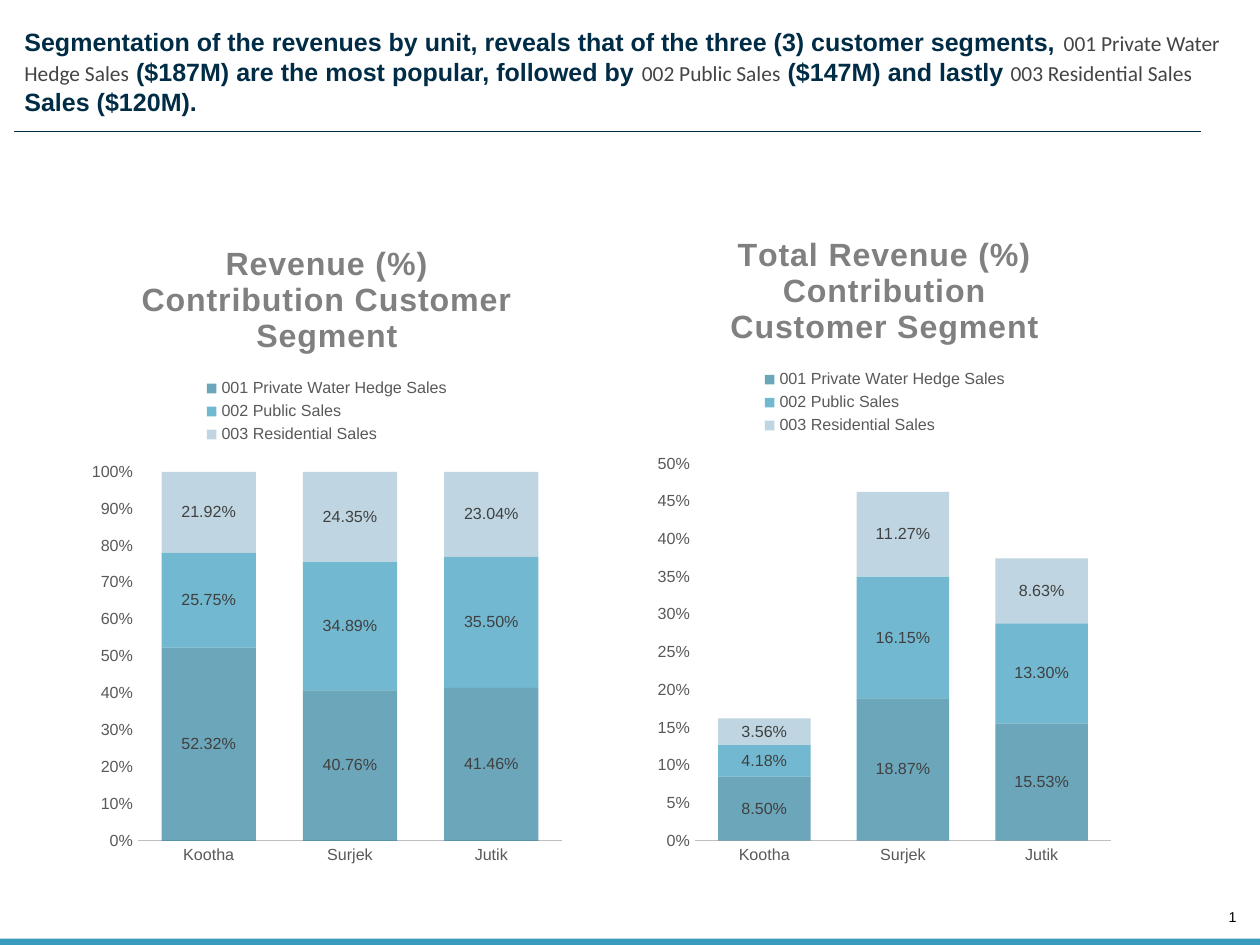
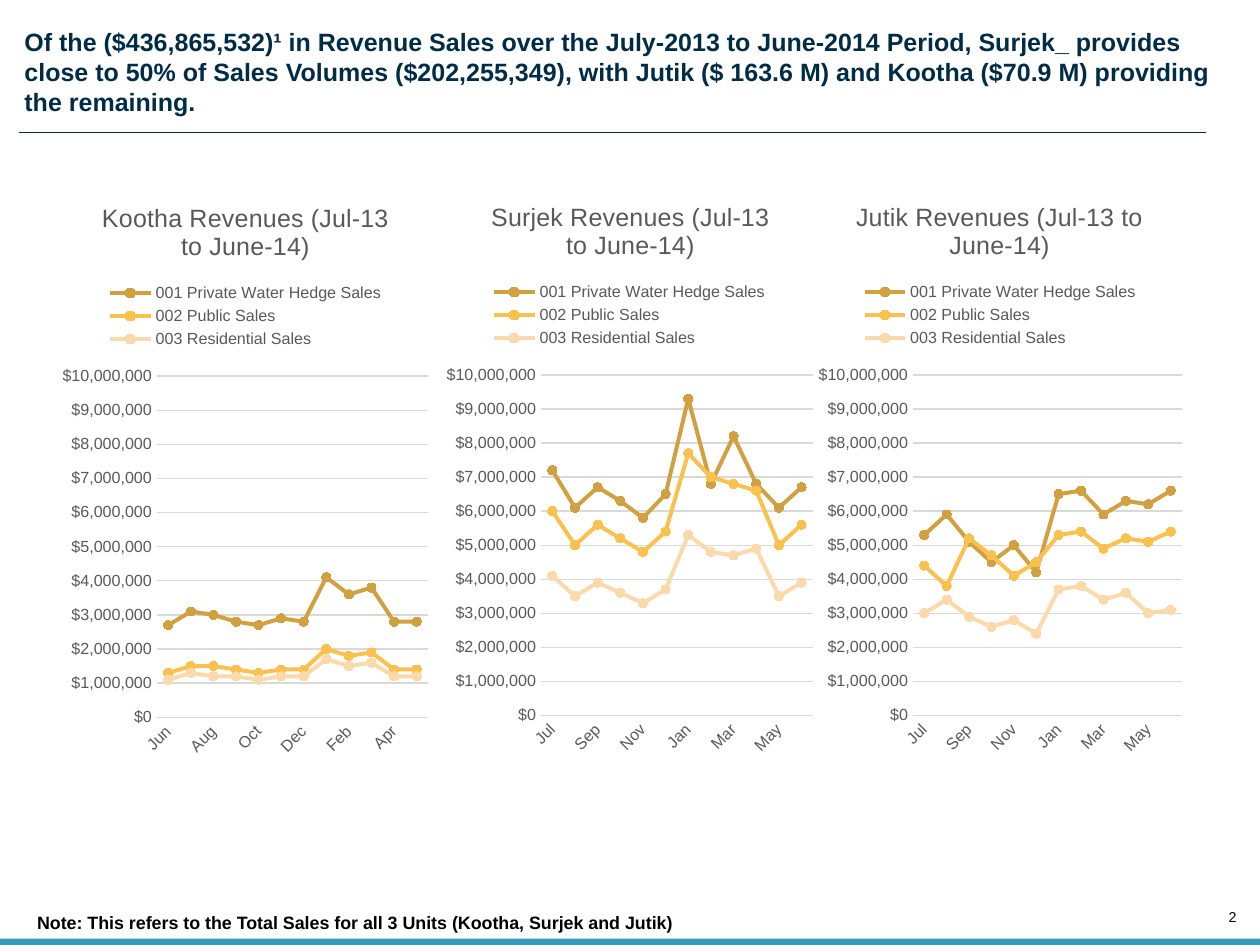
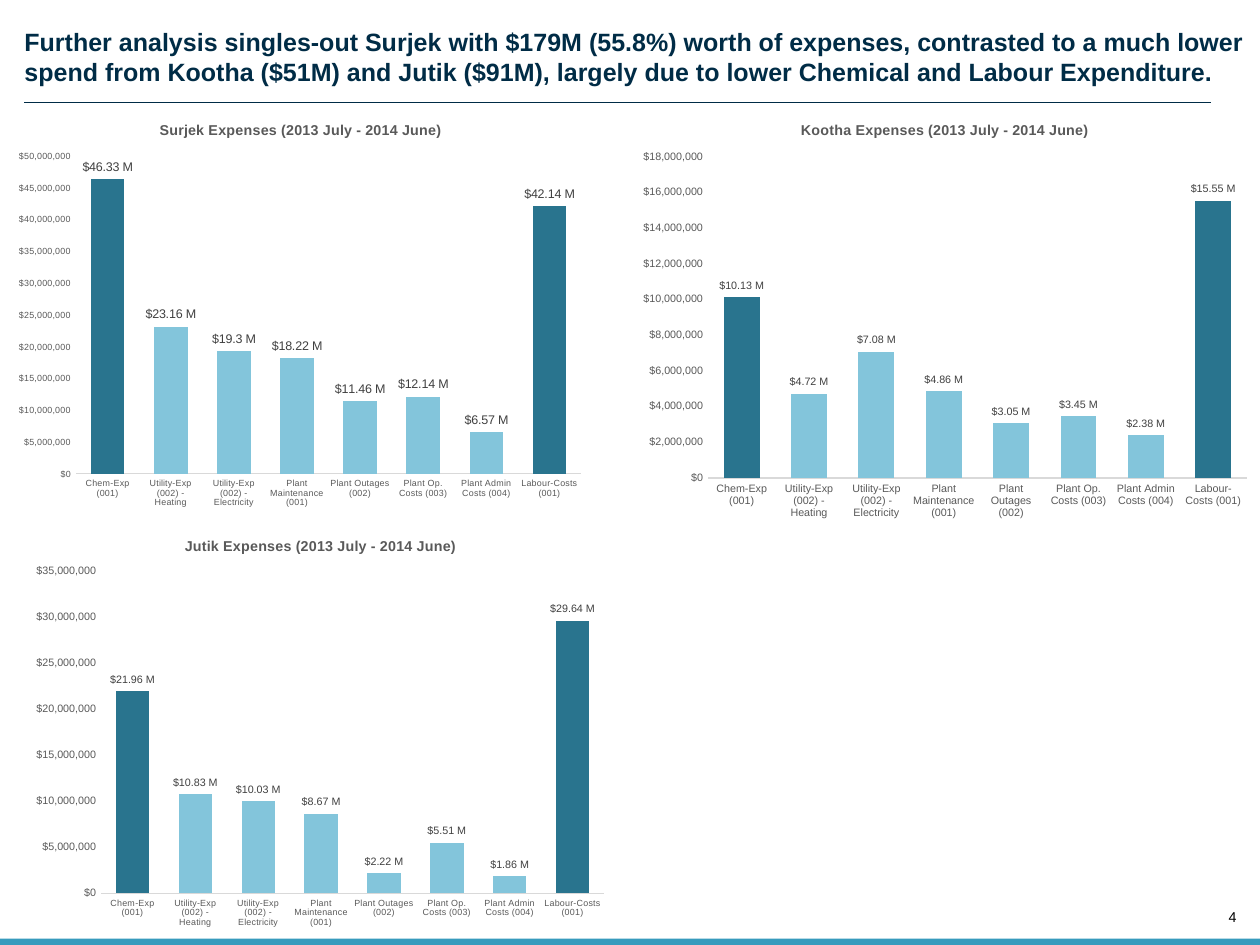
import lxml.etree
import pptx
import pptx.chart.data
import pptx.dml.color
import pptx.enum.chart
import pptx.enum.shapes
import pptx.enum.text
import pptx.oxml.ns
import pptx.util

Pt = pptx.util.Pt
qn = pptx.oxml.ns.qn
Kind = pptx.enum.chart.XL_CHART_TYPE
Spot = pptx.enum.chart.XL_LABEL_POSITION
Text = pptx.enum.text

WIDE, HIGH = 705.6, 529.2
NAVY, BAND, GREY, DARK, BLACK = "002C46", "379BBD", "595959", "404040", "000000"
BLUES = ["2E819D", "379BBD", "A5C6D7"]
GOLDS = ["D0A041", "FBC14E", "FCD9AA"]
SALES = ["001 Private Water Hedge Sales", "002 Public Sales", "003 Residential Sales"]


def ink(code):
    """Turn a hex string into a colour."""
    return pptx.dml.color.RGBColor.from_string(code)


def pen(font, size, code, bold=False, face="Arial"):
    """Set the look of a font."""
    font.name, font.size, font.bold = face, Pt(size), bold
    font.color.rgb = ink(code)


def turn(axis, angle):
    """Set the angle of the axis labels."""
    axis._element.find(qn("c:txPr")).find(qn("a:bodyPr")).set("rot", angle)


def place(part, index, box, frame, inner=False):
    """Pin a chart part to a box on the page, both boxes in points."""
    for old in part.findall(qn("c:layout")):
        part.remove(old)
    layout = lxml.etree.Element(qn("c:layout"))
    part.insert(index, layout)
    manual = lxml.etree.SubElement(layout, qn("c:manualLayout"))
    left, top, wide, high = frame
    marks = [("layoutTarget", "inner")] if inner else []
    marks += [("xMode", "edge"), ("yMode", "edge"),
              ("x", (box[0] - left) / wide), ("y", (box[1] - top) / high),
              ("w", box[2] / wide), ("h", box[3] / high)]
    for tag, val in marks:
        text = val if isinstance(val, str) else f"{val:.4f}"
        lxml.etree.SubElement(manual, qn("c:" + tag)).set("val", text)


class Deck:
    """Holds the style, the file and the current slide."""

    def __init__(self):
        """Start an empty deck."""
        self.file = pptx.Presentation()
        self.file.slide_width, self.file.slide_height = Pt(WIDE), Pt(HIGH)
        self.slide = None

    def page(self, number, runs, rule):
        """Add a slide with its title, rule, band and number."""
        self.slide = self.file.slides.add_slide(self.file.slide_layouts[6])
        self.band()
        self.text((682.5, 509, 10.1, 9.4), [(number, 8, BLACK)], right=True)
        self.text((13.7, 14.7, 684, 51), runs)
        self.line(*rule)

    def band(self):
        """Draw the strip along the foot."""
        strip = self.slide.shapes.add_shape(
            pptx.enum.shapes.MSO_SHAPE.RECTANGLE, 0, Pt(525.6), Pt(WIDE), Pt(3.6))
        strip.shadow.inherit = False
        strip.fill.solid()
        strip.fill.fore_color.rgb = ink(BAND)
        strip.line.fill.background()

    def line(self, left, top, wide):
        """Draw the thin rule below the title."""
        rule = self.slide.shapes.add_connector(
            pptx.enum.shapes.MSO_CONNECTOR.STRAIGHT,
            Pt(left), Pt(top), Pt(left + wide), Pt(top))
        rule.line.color.rgb, rule.line.width = ink(NAVY), Pt(0.75)
        lxml.etree.SubElement(rule._element.spPr, qn("a:effectLst"))

    def text(self, box, runs, right=False, pad=(0, 0)):
        """Add one paragraph of (text, size, colour, bold, face) runs."""
        frame = self.slide.shapes.add_textbox(*map(Pt, box)).text_frame
        frame.word_wrap = not right
        frame.margin_left = frame.margin_right = Pt(pad[0])
        frame.margin_top = frame.margin_bottom = Pt(pad[1])
        par = frame.paragraphs[0]
        if right:
            frame.vertical_anchor = Text.MSO_ANCHOR.BOTTOM
            par.alignment = Text.PP_ALIGN.RIGHT
        for words, *look in runs:
            run = par.add_run()
            run.text = words
            pen(run.font, *look)

    def chart(self, kind, frame, plot, cats, rows, title, scale, form, sizes, edge):
        """Add a chart with its title, axes and plot area."""
        data = pptx.chart.data.CategoryChartData()
        data.categories = cats
        for name, vals in rows:
            data.add_series(name, vals)
        chart = self.slide.shapes.add_chart(kind, *map(Pt, frame), data).chart
        pen(chart.font, 10, BLACK)
        chart.has_legend = False
        chart.plots[0].vary_by_categories = False
        self.head(chart, *title)
        for axis, size in zip((chart.category_axis, chart.value_axis), sizes):
            axis.major_tick_mark = pptx.enum.chart.XL_TICK_MARK.NONE
            pen(axis.tick_labels.font, size, GREY)
            turn(axis, "0")
        base = chart.category_axis.format.line
        base.color.rgb, base.width = ink(edge), Pt(0.75)
        axis = chart.value_axis
        axis.format.line.fill.background()
        axis.has_major_gridlines = False
        axis.minimum_scale, axis.maximum_scale, axis.major_unit = 0, *scale
        axis.tick_labels.number_format = form
        axis.tick_labels.number_format_is_linked = False
        place(chart._chartSpace.chart.plotArea, 0, plot, frame, True)
        return chart

    def head(self, chart, words, size, code, bold, gap):
        """Write the chart title, letters spaced by gap points."""
        chart.has_title = True
        run = chart.chart_title.text_frame.paragraphs[0].add_run()
        run.text = words
        pen(run.font, size, code, bold)
        run.font._element.set("spc", str(int(gap * 100)))

    def legend(self, chart, box, frame):
        """Add a legend at the given box."""
        chart.has_legend = True
        chart.legend.position = pptx.enum.chart.XL_LEGEND_POSITION.TOP
        chart.legend.include_in_layout = False
        pen(chart.legend.font, 9, GREY)
        place(chart.legend._element, 1, box, frame)

    def labels(self, series, size, form, spot):
        """Show the values of a series."""
        tags = series.data_labels
        tags.show_value = True
        tags.number_format, tags.number_format_is_linked = form, False
        tags.position = spot
        pen(tags.font, size, DARK)

    def stack(self, frame, plot, key, title, rows, scale):
        """Add a stacked chart of sales shares."""
        chart = self.chart(Kind.COLUMN_STACKED, frame, plot,
                           ["Kootha", "Surjek", "Jutik"], zip(SALES, rows),
                           (title, 18, "808080", True, 0.5), scale, "0%",
                           (9, 9), "BFBFBF")
        self.legend(chart, key, frame)
        chart.plots[0].gap_width, chart.plots[0].overlap = 50, 100
        for series, code in zip(chart.series, BLUES):
            series.format.fill.solid()
            series.format.fill.fore_color.rgb = ink(code)
            tint = series._element.find(".//" + qn("a:srgbClr"))
            lxml.etree.SubElement(tint, qn("a:alpha")).set("val", "70000")
            self.labels(series, 9, "0.00%", Spot.CENTER)

    def trend(self, unit, frame, plot, key, months, rows):
        """Add a line chart of monthly sales, rows in units of 100,000."""
        vals = [[n * 100000 for n in row] for row in rows]
        chart = self.chart(Kind.LINE_MARKERS, frame, plot, months, zip(SALES, vals),
                           (unit + " Revenues (Jul-13 to June-14)", 14, GREY, False, 0),
                           (10000000, 1000000), '"$"#,##0', (9, 9), "D9D9D9")
        turn(chart.category_axis, "-2700000")
        self.legend(chart, key, frame)
        axis = chart.value_axis
        axis.has_major_gridlines = True
        grid = axis.major_gridlines.format.line
        grid.color.rgb, grid.width = ink("D9D9D9"), Pt(0.75)
        for series, code in zip(chart.series, GOLDS):
            series.smooth = False
            series.format.line.color.rgb = ink(code)
            series.format.line.width = Pt(2.25)
            mark = series.marker
            mark.style, mark.size = pptx.enum.chart.XL_MARKER_STYLE.CIRCLE, 5
            mark.format.fill.solid()
            mark.format.fill.fore_color.rgb = ink(code)
            mark.format.line.color.rgb = ink(code)

    def costs(self, unit, frame, plot, row, scale, sizes):
        """Add a column chart of expenses, row in millions."""
        cats = ["Chem-Exp (001)", "Utility-Exp (002) - Heating",
                "Utility-Exp (002) - Electricity", "Plant Maintenance (001)",
                "Plant Outages (002)", "Plant Op. Costs (003)",
                "Plant Admin Costs (004)", "Labour-Costs (001)"]
        vals = [round(n * 1000000) for n in row]
        chart = self.chart(Kind.COLUMN_CLUSTERED, frame, plot, cats, [("Series 1", vals)],
                           (unit + " Expenses (2013 July - 2014 June)", 8, GREY, True, 0),
                           scale, '"$"#,##0', sizes[:2], "D9D9D9")
        chart.plots[0].gap_width, chart.plots[0].overlap = 88, -27
        series = chart.series[0]
        series.invert_if_negative = False
        fills = [series.format.fill] + [series.points[i].format.fill for i in (0, 7)]
        for fill, code in zip(fills, ["83C5DB", "29748E", "29748E"]):
            fill.solid()
            fill.fore_color.rgb = ink(code)
        self.labels(series, sizes[2], '"$"#.##,," M"', Spot.OUTSIDE_END)


deck = Deck()
bold = (14, NAVY, True)
plain = (12, "444444", False, "Calibri")

deck.page("1", [
    ("Segmentation of the revenues by unit, reveals that of the three (3) "
     "customer segments, ", *bold),
    (SALES[0], *plain),
    (" ($187M) are the most popular, followed by ", *bold),
    (SALES[1], *plain),
    (" ($147M) and lastly ", *bold),
    (SALES[2], *plain),
    (" Sales ($120M).", *bold)], (7.9, 73.7, 664.6))
deck.stack((46, 121, 274.3, 370.8), (77.3, 264.3, 237.4, 206.6), (108, 210, 150, 41),
           "Revenue (%) Contribution Customer Segment",
           [(0.5232, 0.4076, 0.4146), (0.2575, 0.3489, 0.355),
            (0.2192, 0.2435, 0.2304)], (1, 0.1))
deck.stack((362.9, 116, 265, 375.8), (389.2, 259.8, 233, 211.1), (420.5, 205, 150, 41),
           "Total Revenue (%) Contribution Customer Segment",
           [(0.085, 0.1887, 0.1553), (0.0418, 0.1615, 0.133),
            (0.0356, 0.1127, 0.0863)], (0.5, 0.05))

deck.page("2", [
    ("Of the ($436,865,532)¹ in Revenue Sales over the July-2013 to June-2014 Period, "
     "Surjek_ provides close to 50% of Sales Volumes ($202,255,349), with Jutik "
     "($ 163.6 M) and Kootha ($70.9 M) providing the remaining.", *bold)],
    (10.8, 74.2, 664.6))
deck.text((13.7, 506.9, 670.3, 19.4), [
    ("Note: This refers to the Total Sales for all 3 Units (Kootha, Surjek and Jutik)",
     10, BLACK, True)], pad=(7.2, 3.6))
year = "Jul Aug Sep Oct Nov Dec Jan Feb Mar Apr May Jun".split()
deck.trend("Kootha", (31, 100, 213, 329.8), (87.9, 210.6, 151.8, 191.2),
           (57.5, 156.5, 160, 41), year[-1:] + year[:-1],
           [(27, 31, 30, 28, 27, 29, 28, 41, 36, 38, 28, 28),
            (13, 15, 15, 14, 13, 14, 14, 20, 18, 19, 14, 14),
            (11, 13, 12, 12, 11, 12, 12, 17, 15, 16, 12, 12)])
deck.trend("Surjek", (246.2, 99.4, 213.8, 329.8), (303, 210, 152.3, 190.7),
           (272.5, 156, 160, 41), year,
           [(72, 61, 67, 63, 58, 65, 93, 68, 82, 68, 61, 67),
            (60, 50, 56, 52, 48, 54, 77, 70, 68, 66, 50, 56),
            (41, 35, 39, 36, 33, 37, 53, 48, 47, 49, 35, 39)])
deck.trend("Jutik", (453.6, 99.4, 212.4, 329.8), (511.3, 210, 150.6, 190.7),
           (480, 156, 160, 41), year,
           [(53, 59, 51, 45, 50, 42, 65, 66, 59, 63, 62, 66),
            (44, 38, 52, 47, 41, 45, 53, 54, 49, 52, 51, 54),
            (30, 34, 29, 26, 28, 24, 37, 38, 34, 36, 30, 31)])

deck.page("4", [
    ("Further analysis singles-out Surjek with $179M (55.8%) worth of expenses, "
     "contrasted to a much lower spend from Kootha ($51M) and Jutik ($91M), largely "
     "due to lower Chemical and Labour Expenditure.", *bold)], (13.7, 57.3, 664.6))
deck.costs("Kootha", (352.8, 57.6, 352.8, 238.3), (396.5, 87.9, 301.8, 179.8),
           (10.13, 4.72, 7.08, 4.86, 3.05, 3.45, 2.38, 15.55),
           (18000000, 2000000), (6, 6, 6))
deck.costs("Surjek", (4.3, 57.6, 328.3, 231.1), (42.6, 87.4, 282.8, 178),
           (46.33, 23.16, 19.3, 18.22, 11.46, 12.14, 6.57, 42.14),
           (50000000, 5000000), (5, 5, 7))
deck.costs("Jutik", (13.7, 290.2, 331.9, 234), (56.6, 320, 281.7, 180.3),
           (21.96, 10.83, 10.03, 8.67, 2.22, 5.51, 1.86, 29.64),
           (35000000, 5000000), (5, 6, 6))

deck.file.save("out.pptx")
